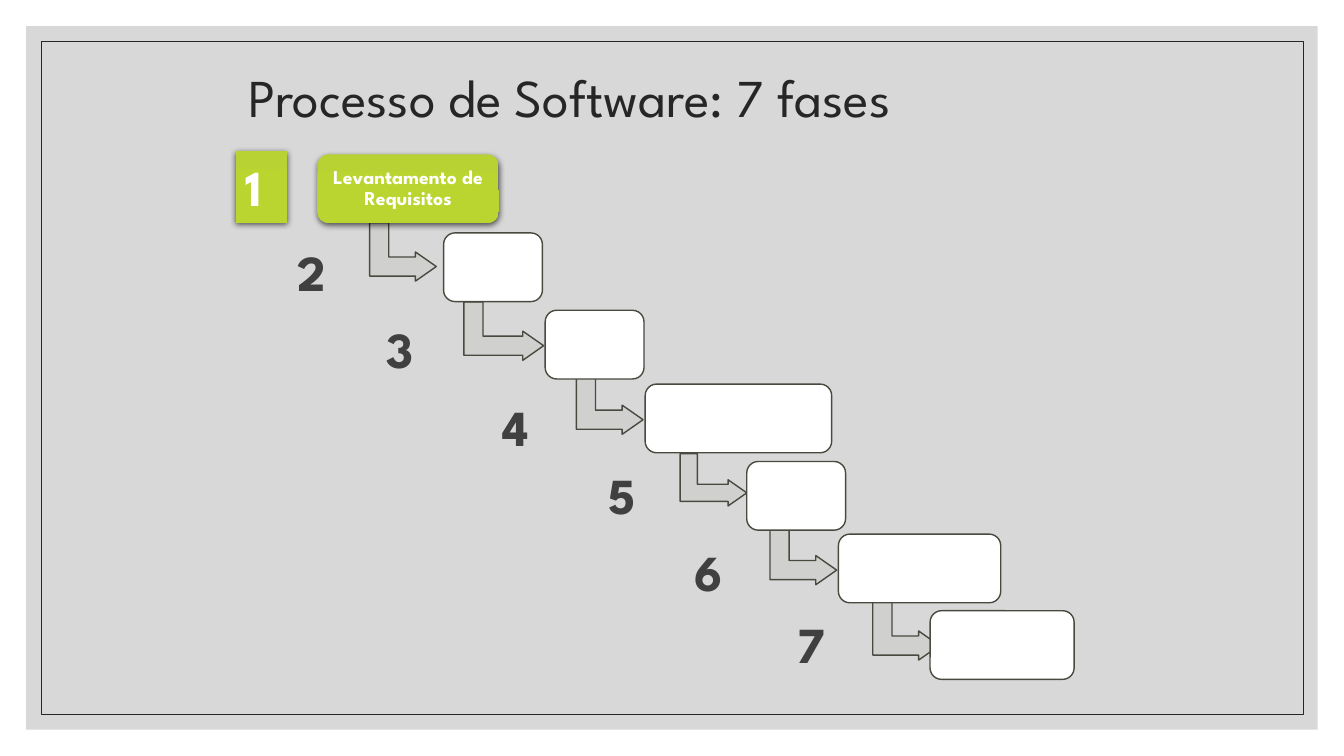
import copy
import pptx
import pptx.util
import pptx.dml.color
import pptx.enum.shapes
import pptx.enum.text
import pptx.oxml
import pptx.oxml.ns

Cm = pptx.util.Cm
Pt = pptx.util.Pt
MSO = pptx.enum.shapes.MSO_SHAPE
ALIGN = pptx.enum.text.PP_ALIGN
ANCHOR = pptx.enum.text.MSO_ANCHOR
AUTO = pptx.enum.text.MSO_AUTO_SIZE
qn = pptx.oxml.ns.qn
NS = pptx.oxml.ns.nsdecls("a")


def rgb(value):
    return pptx.dml.color.RGBColor.from_string(value)


def write(sp, text, size, color, bold, frame, para):
    tf = sp.text_frame
    p = tf.paragraphs[0]
    r = p.add_run()
    r.text = text
    font = {"name": "League Spartan", "size": Pt(size), "bold": bold}
    for target, values in ((tf, frame), (p, para), (r.font, font)):
        for name, value in values.items():
            setattr(target, name, value)
    r.font.color.rgb = rgb(color)


prs = pptx.Presentation()
prs.slide_width = Cm(33.87)
prs.slide_height = Cm(19.05)
s = prs.slides.add_slide(prs.slide_layouts[6])

panel = s.shapes.add_shape(MSO.RECTANGLE, Cm(0.66), Cm(0.66), Cm(32.55), Cm(17.73))
panel.shadow.inherit = False
panel.fill.solid()
panel.fill.fore_color.rgb = rgb("BFBFBF")
panel.line.fill.background()
panel_color = panel._element.spPr.find(".//" + qn("a:srgbClr"))
panel_color.append(pptx.oxml.parse_xml(f'<a:alpha {NS} val="60000"/>'))

border = s.shapes.add_shape(MSO.RECTANGLE, Cm(1.04), Cm(1.04), Cm(31.8), Cm(16.97))
border.shadow.inherit = False
border.fill.background()
border.line.color.rgb = rgb("262626")
border.line.width = Pt(0.5)

title = s.shapes.add_textbox(Cm(6.02), Cm(0.41), Cm(21.92), Cm(4.24))
write(title, "Processo de Software: 7 fases", 38, "262626", False,
      {"word_wrap": True, "vertical_anchor": ANCHOR.MIDDLE},
      {"line_spacing": 0.9})

arrows = [
    (9.42, 5.51, 1.47, 1.68),
    (11.96, 7.34, 1.47, 2.01),
    (14.63, 9.37, 1.47, 1.68),
    (17.32, 11.25, 1.32, 1.68),
    (19.51, 13.16, 1.47, 1.68),
    (22.1, 15.06, 1.47, 1.68),
]
for x, y, w, h in arrows:
    arrow = s.shapes.add_shape(MSO.BENT_UP_ARROW, Cm(x), Cm(y), Cm(w), Cm(h))
    arrow.rotation = 90
    for i, value in enumerate((0.328, 0.25, 0.358)):
        arrow.adjustments[i] = value
    arrow.shadow.inherit = False
    arrow.fill.solid()
    arrow.fill.fore_color.rgb = rgb("D0D0CF")
    arrow.line.color.rgb = rgb("494940")
    arrow.line.width = Pt(1)

phases = [
    (8, 3.89, 4.57, 5.94, 3.81),
    (11.18, 5.87, 2.49, 7.24, 5.94),
    (13.74, 7.82, 2.49, 9.5, 7.9),
    (16.26, 9.68, 4.7, 12.42, 9.86),
    (18.82, 11.63, 2.49, 15.09, 11.58),
    (21.13, 13.46, 4.09, 17.25, 13.51),
    (23.44, 15.39, 3.63, 19.84, 15.32),
]
for n, (x, y, w, num_x, num_y) in enumerate(phases, 1):
    box = s.shapes.add_shape(MSO.ROUNDED_RECTANGLE, Cm(x), Cm(y), Cm(w), Cm(1.73))
    box.adjustments[0] = 0.167
    box.shadow.inherit = False
    num_at = Cm(num_x), Cm(num_y), Cm(1.3), Cm(1.8)
    if n == 1:
        number = s.shapes.add_shape(MSO.RECTANGLE, *num_at)
        number.shadow.inherit = False
        for sp in (box, number):
            sp.line.fill.background()
            sp.fill.gradient()
            sp.fill.gradient_angle = 270
            stops = sp._element.spPr.find(".//" + qn("a:gsLst"))
            stops.insert(1, copy.deepcopy(stops[0]))
            colors = ("B8D233", "BAD52F", "B9D42F")
            for i, (stop, color) in enumerate(zip(sp.fill.gradient_stops, colors)):
                stop.position = i / 2
                stop.color.rgb = rgb(color)
            sp._element.spPr.find(qn("a:effectLst")).append(pptx.oxml.parse_xml(
                f'<a:outerShdw {NS} blurRad="57150" dist="19050" dir="5400000" '
                'algn="ctr" rotWithShape="0"><a:srgbClr val="000000">'
                '<a:alpha val="63000"/></a:srgbClr></a:outerShdw>'))
        sides = ("left", "right", "top", "bottom")
        write(box, "Levantamento de Requisitos", 14, "FFFFFF", True,
              {"word_wrap": True, "vertical_anchor": ANCHOR.MIDDLE,
               **{f"margin_{side}": Cm(0.15) for side in sides}},
              {"alignment": ALIGN.CENTER, "line_spacing": 0.9})
    else:
        number = s.shapes.add_textbox(*num_at)
        box.fill.solid()
        box.fill.fore_color.rgb = rgb("FFFFFF")
        box.line.color.rgb = rgb("494940")
        box.line.width = Pt(1)
    write(number, str(n), 36, "FFFFFF" if n == 1 else "404040", True,
          {"word_wrap": True, "vertical_anchor": ANCHOR.TOP,
           "auto_size": AUTO.SHAPE_TO_FIT_TEXT},
          {"alignment": ALIGN.LEFT})

prs.save("out.pptx")
